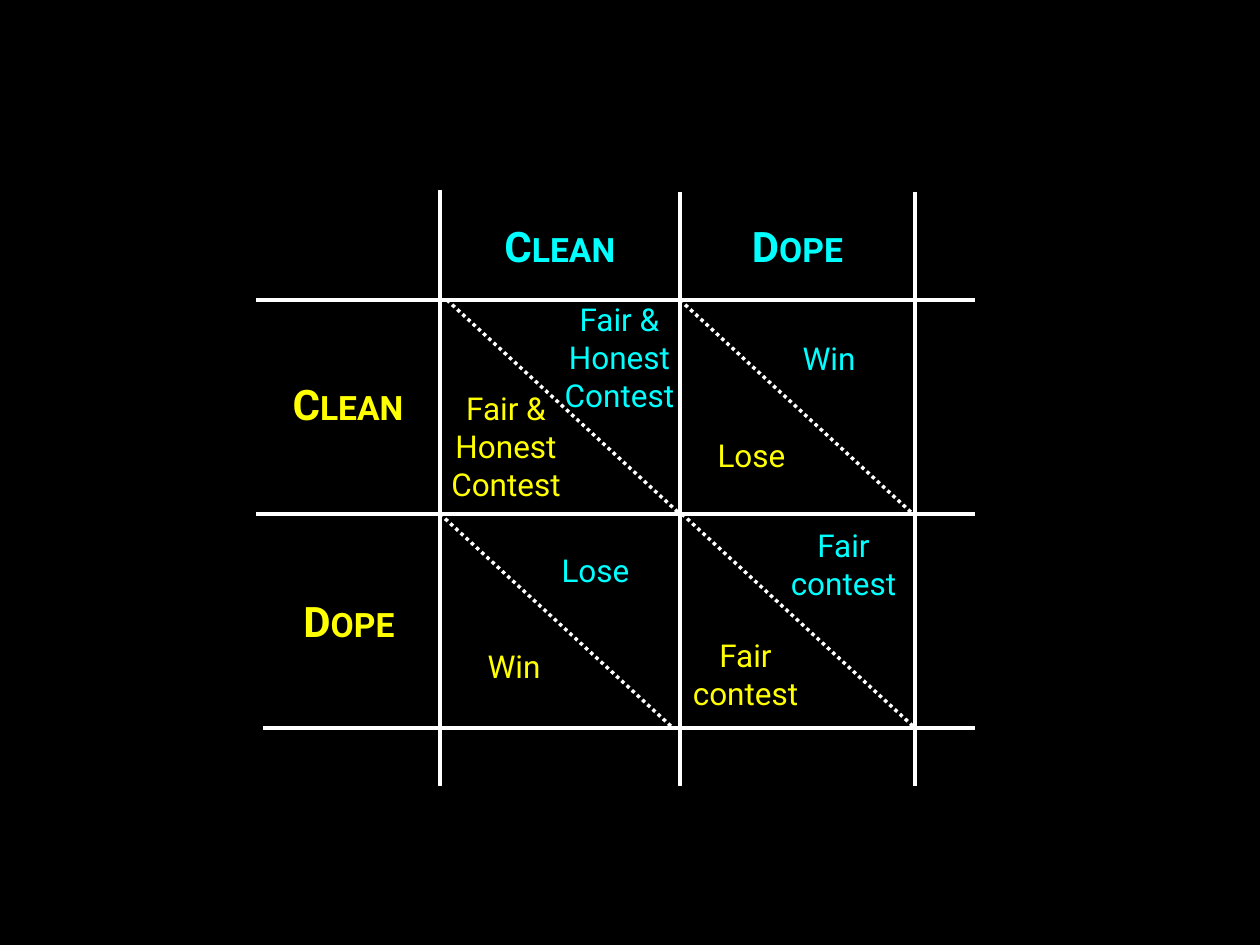
from lxml import etree
from pptx import Presentation
from pptx import util as u
from pptx.dml.color import RGBColor
from pptx.enum import dml, shapes, text
from pptx.oxml.ns import qn

PX = 914400 / 126
BLACK = RGBColor(0x00, 0x00, 0x00)
WHITE = RGBColor(0xFF, 0xFF, 0xFF)
YELLOW = RGBColor(0xFF, 0xFF, 0x00)
CYAN = RGBColor(0x00, 0xFF, 0xFF)

# Grid: line position, then where the line starts
COLUMNS = [(440, 190), (680, 192), (915, 192)]
ROWS = [(300, 256), (514, 256), (728, 263)]
BOTTOM, RIGHT = 786, 975
# Left ends of the diagonals, by row of cells
DIAGONALS = [(447, 680), (440, 682)]
DIAGONAL_WIDTH = 233

# Wording, colour, left, top, width
HEADINGS = [
    ("Clean", YELLOW, 256, 372, 184),
    ("Dope", YELLOW, 258, 589, 182),
    ("Clean", CYAN, 440, 214, 240),
    ("Dope", CYAN, 680, 214, 235),
]
# The same, then the number of text lines
OUTCOMES = [
    ("Fair & Honest Contest", YELLOW, 435, 383, 142, 3),
    ("Win", YELLOW, 468, 641, 92, 1),
    ("Lose", YELLOW, 698, 430, 107, 1),
    ("Fair & Honest Contest", CYAN, 550, 294, 139, 3),
    ("Win", CYAN, 744, 333, 170, 1),
    ("Lose", CYAN, 510, 545, 171, 1),
    ("Fair contest", YELLOW, 673, 630, 145, 2),
    ("Fair contest", CYAN, 774, 520, 139, 2),
]
HEADING_HEIGHT, LINE_HEIGHT, PADDING = 63, 38, 13
HEADING_FONT = {"name": "Roboto", "size": u.Pt(24), "bold": True}
OUTCOME_FONT = {"name": "Roboto", "size": u.Pt(18), "bold": False}


def emu(*lengths):
    return [round(length * PX) for length in lengths]


def add_line(page, ends, dash=None):
    line = page.shapes.add_connector(shapes.MSO_CONNECTOR.STRAIGHT, *emu(*ends))
    line.line.color.rgb = WHITE
    line.line.width = u.Pt(2)
    if dash:
        line.line.dash_style = dash
    etree.SubElement(line._element.spPr, qn("a:effectLst"))


def add_label(page, wording, color, area, font, small_caps=False):
    box = page.shapes.add_textbox(*emu(*area))
    box.text_frame.word_wrap = True
    para = box.text_frame.paragraphs[0]
    para.alignment = text.PP_ALIGN.CENTER
    span = para.add_run()
    span.text = wording
    for key, value in font.items():
        setattr(span.font, key, value)
    span.font.color.rgb = color
    if small_caps:
        span._r.get_or_add_rPr().set("cap", "small")


deck = Presentation()
deck.slide_width, deck.slide_height = u.Inches(10), u.Inches(7.5)
page = deck.slides.add_slide(deck.slide_layouts[6])
page.background.fill.solid()
page.background.fill.fore_color.rgb = BLACK

# Grid lines
for x, top in COLUMNS:
    add_line(page, (x, top, x, BOTTOM))
for y, left in ROWS:
    add_line(page, (left, y, RIGHT, y))

# Dotted diagonals from one row line to the next
for (top, _), (bottom, _), starts in zip(ROWS, ROWS[1:], DIAGONALS):
    for left in starts:
        add_line(page, (left, top, left + DIAGONAL_WIDTH, bottom),
                 dml.MSO_LINE.ROUND_DOT)

# Strategy headings
for wording, color, left, top, width in HEADINGS:
    add_label(page, wording, color, (left, top, width, HEADING_HEIGHT),
              HEADING_FONT, small_caps=True)

# Outcomes for each player
for wording, color, left, top, width, lines in OUTCOMES:
    height = PADDING + LINE_HEIGHT * lines
    add_label(page, wording, color, (left, top, width, height), OUTCOME_FONT)

deck.save("out.pptx")
